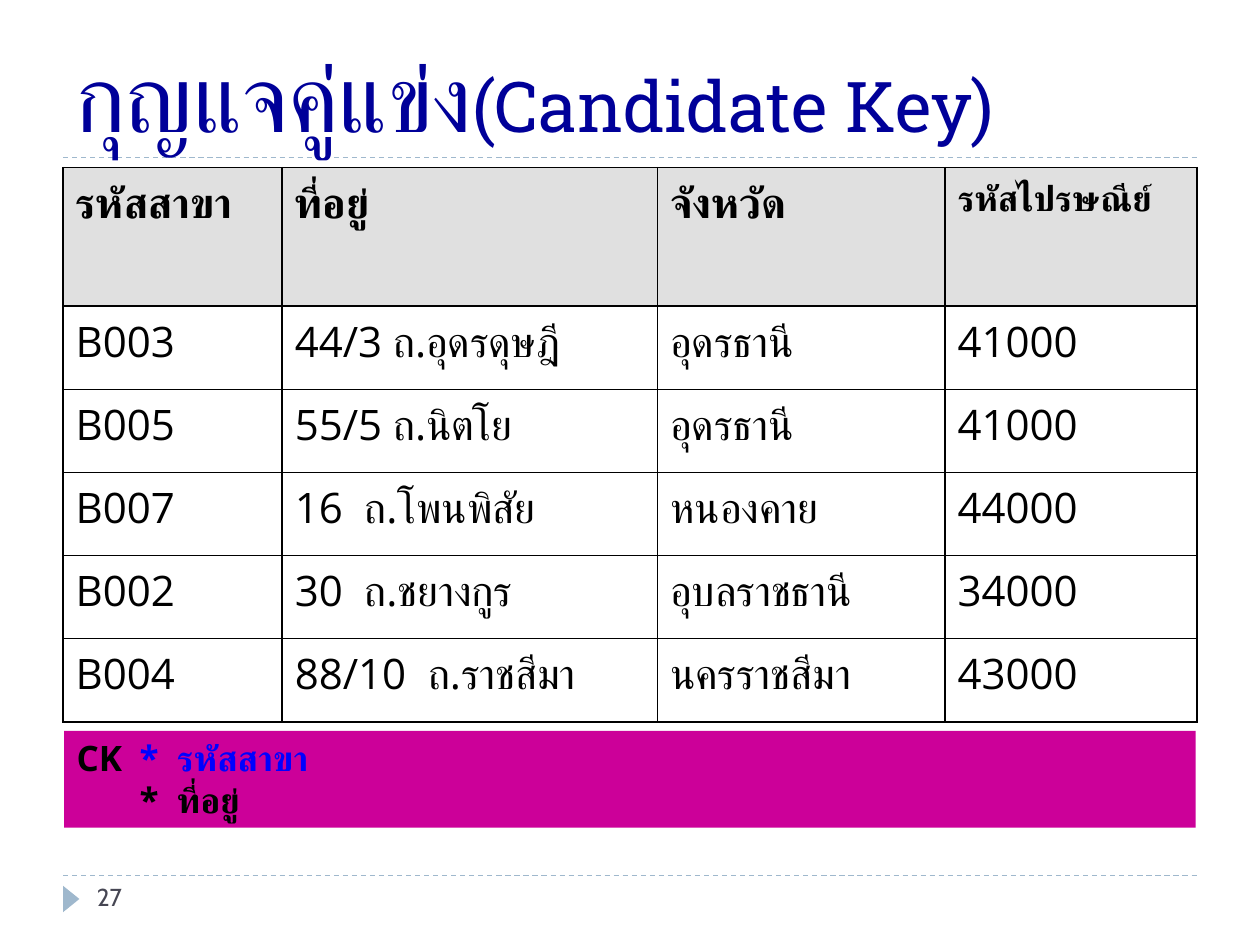
from lxml.etree import SubElement
from pptx import Presentation
from pptx.dml.color import RGBColor
from pptx.enum.dml import MSO_LINE
from pptx.enum.shapes import MSO_CONNECTOR, MSO_SHAPE
from pptx.enum.text import MSO_ANCHOR, PP_ALIGN
from pptx.oxml.ns import qn
from pptx.util import Inches, Pt

COLORS = {"title": "000099", "rule": "9FB8CD", "number": "464653", "text": "000000",
          "header": "E0E0E0", "band": "CC0099", "key": "0000FF"}
BODY = "Open Sans"
TITLE = [("กุญแจคู่แข่ง", 54), ("(Candidate Key)", 40)]
PAGE_NUMBER = "27"
HEADERS = [("รหัสสาขา", 24), ("ที่อยู่", 24), ("จังหวัด", 24), ("รหัสไปรษณีย์", 20)]
BRANCHES = [
    ("B003", "44/3 ถ.อุดรดุษฎี", "อุดรธานี", "41000"),
    ("B005", "55/5 ถ.นิตโย", "อุดรธานี", "41000"),
    ("B007", "16  ถ.โพนพิสัย", "หนองคาย", "44000"),
    ("B002", "30  ถ.ชยางกูร", "อุบลราชธานี", "34000"),
    ("B004", "88/10  ถ.ราชสีมา", "นครราชสีมา", "43000"),
]
CANDIDATE_KEYS = [
    [("CK\t", "text"), ("*  รหัสสาขา", "key")],
    [("\t*  ที่อยู่", "text")],
]
COLUMN_WIDTHS = (1.74, 2.98, 2.28, 2)
HEADER_HEIGHT, ROW_HEIGHT = 1.1, 0.66
LEFT, WIDTH = 0.5, 9
RULES = (1.25, 6.95)


def color(name):
    """Return the named colour."""
    return RGBColor.from_string(COLORS[name])


def add_span(para, text, size, font, tint, bold=False):
    """Append one formatted run, with the font set for Latin and Thai."""
    span = para.add_run()
    span.text = text
    span.font.size = Pt(size)
    span.font.name = font
    span.font.bold = bold
    span.font.color.rgb = color(tint)
    SubElement(span.font._element, qn("a:cs"), typeface=font)


def add_box(page, left, top, width, height):
    """Add a wrapping text box and return its text frame."""
    box = page.shapes.add_textbox(Inches(left), Inches(top), Inches(width), Inches(height))
    box.text_frame.word_wrap = True
    return box.text_frame


def add_shape(page, kind, left, top, width, height, tint):
    """Add a filled preset shape without outline or shadow."""
    shape = page.shapes.add_shape(kind, Inches(left), Inches(top), Inches(width), Inches(height))
    shape.shadow.inherit = False
    shape.fill.solid()
    shape.fill.fore_color.rgb = color(tint)
    shape.line.fill.background()
    return shape


def add_rule(page, top):
    """Add a dashed line across the page."""
    rule = page.shapes.add_connector(MSO_CONNECTOR.STRAIGHT, Inches(LEFT), Inches(top),
                                     Inches(LEFT + WIDTH), Inches(top))
    rule.line.color.rgb = color("rule")
    rule.line.width = Pt(0.75)
    rule.line.dash_style = MSO_LINE.DASH
    SubElement(rule._element.spPr, qn("a:effectLst"))


def fill_cell(cell, text, size, is_header):
    """Write one table cell with its borders, fill and hanging indent."""
    properties = cell._tc.get_or_add_tcPr()
    for side in ("a:lnL", "a:lnR", "a:lnT", "a:lnB"):
        border = SubElement(properties, qn(side), w=str(Pt(1)))
        fill = SubElement(border, qn("a:solidFill"))
        SubElement(fill, qn("a:srgbClr"), val=COLORS["text"])
    if is_header:
        cell.fill.solid()
        cell.fill.fore_color.rgb = color("header")
    else:
        cell.fill.background()
    para = cell.text_frame.paragraphs[0]
    indent = para._p.get_or_add_pPr()
    indent.set("marL", str(Inches(0.38)))
    indent.set("indent", str(-Inches(0.38)))
    add_span(para, text, size, BODY, "text", is_header)


def add_branches(page):
    """Add the table of branches."""
    rows = [HEADERS] + [[(text, 24) for text in branch] for branch in BRANCHES]
    height = HEADER_HEIGHT + ROW_HEIGHT * len(BRANCHES)
    table = page.shapes.add_table(len(rows), len(HEADERS), Inches(LEFT), Inches(1.33),
                                  Inches(WIDTH), Inches(height)).table
    table.horz_banding = False
    for column, width in zip(table.columns, COLUMN_WIDTHS):
        column.width = Inches(width)
    for index, cells in enumerate(rows):
        table.rows[index].height = Inches(ROW_HEIGHT if index else HEADER_HEIGHT)
        for position, (text, size) in enumerate(cells):
            fill_cell(table.cell(index, position), text, size, index == 0)


def add_candidate_keys(page):
    """Add the coloured band that lists the candidate keys."""
    band = add_shape(page, MSO_SHAPE.RECTANGLE, 0.51, 5.8, 8.98, 0.77, "band")
    frame = band.text_frame
    frame.word_wrap = True
    frame.vertical_anchor = MSO_ANCHOR.TOP
    for index, spans in enumerate(CANDIDATE_KEYS):
        para = frame.add_paragraph() if index else frame.paragraphs[0]
        para.alignment = PP_ALIGN.LEFT
        for text, tint in spans:
            add_span(para, text, 20, BODY, tint, True)


def main():
    """Build the slide and save it."""
    deck = Presentation()
    deck.slide_width, deck.slide_height = Inches(10), Inches(7.5)
    page = deck.slides.add_slide(deck.slide_layouts[6])
    for top in RULES:
        add_rule(page, top)
    marker = add_shape(page, MSO_SHAPE.ISOSCELES_TRIANGLE, 0.46, 7.07, 0.21, 0.13, "rule")
    marker.rotation = 90
    title = add_box(page, LEFT, 0.17, WIDTH, 1.08)
    title.vertical_anchor = MSO_ANCHOR.BOTTOM
    for text, size in TITLE:
        add_span(title.paragraphs[0], text, size, "Roboto Slab", "title")
    number = add_box(page, 0.67, 6.95, 2.17, 0.4)
    add_span(number.paragraphs[0], PAGE_NUMBER, 14, "Cabin", "number")
    add_branches(page)
    add_candidate_keys(page)
    deck.save("out.pptx")


main()
